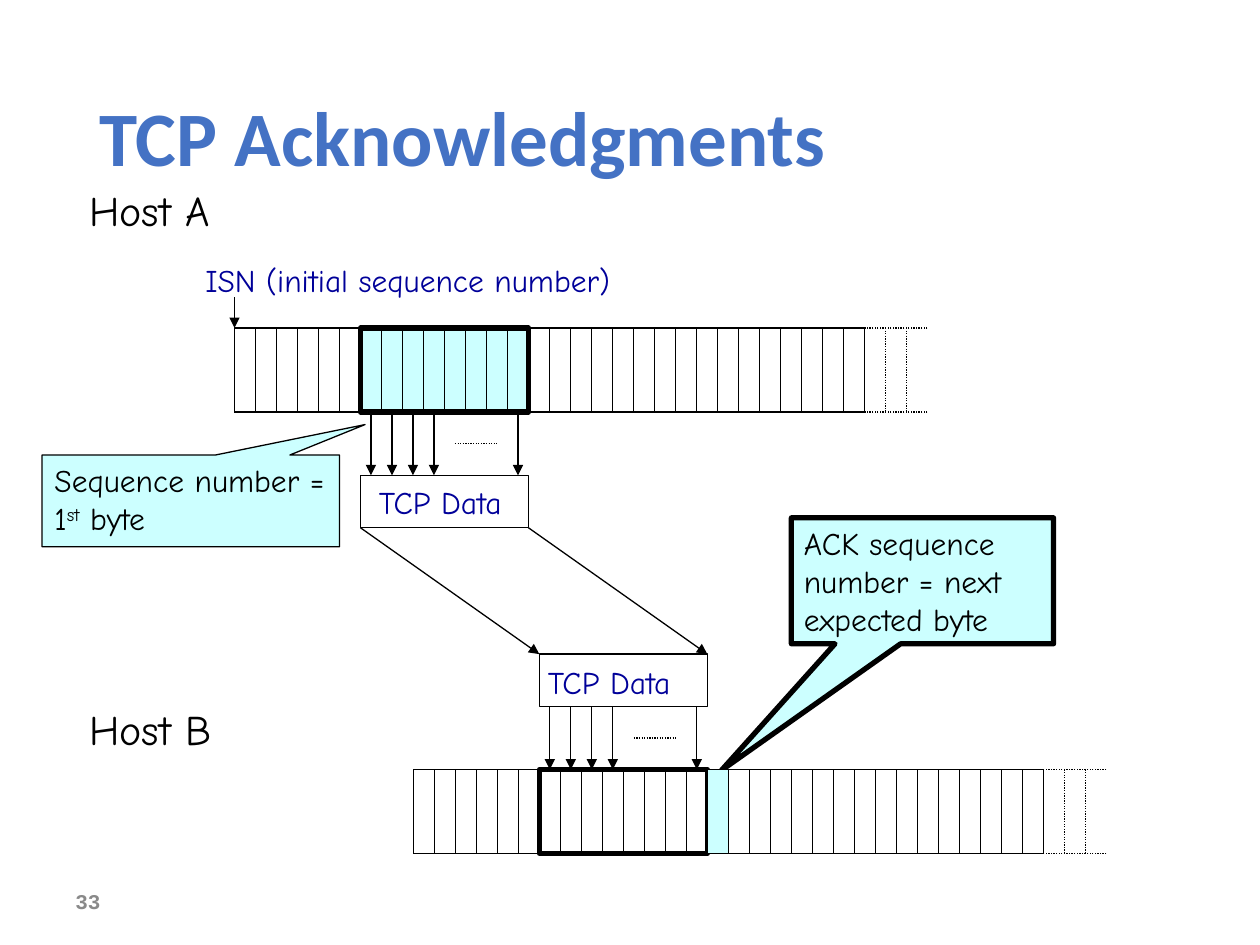
from lxml.etree import SubElement
from pptx import Presentation
from pptx.dml.color import RGBColor
from pptx.enum.dml import MSO_LINE_DASH_STYLE as DASH
from pptx.enum.shapes import MSO_CONNECTOR, MSO_SHAPE as SHAPE
from pptx.enum.text import MSO_ANCHOR as ANCHOR, PP_ALIGN as ALIGN
from pptx.oxml.ns import qn
from pptx.util import Pt

BLACK, WHITE, CYAN, NAVY = "000000", "FFFFFF", "CCFFFF", "000099"
BLUE, GRAY = "4472C4", "898989"
HAND = "Comic Neue"

# text, (left, top, width, height), size, colour
LABELS = [
    ("Host A", (44, 102.2, 93, 36), 24, BLACK),
    ("Host B", (44, 398.2, 91, 36), 24, BLACK),
    ("TCP Data", (209.5, 272.2, 92, 29), 18, NAVY),
    ("TCP Data", (306, 375.1, 92, 29), 18, NAVY),
    ("ISN (initial sequence number)", (110.2, 145.4, 265, 29), 18, NAVY),
]
# runs as (text, raised), box, callout tip, line width
CALLOUTS = [
    ([("Sequence number = 1", False), ("st", True), (" byte", False)],
     (24, 260, 170, 52.4), (0.586, -0.832), 0.75),
    ([("ACK sequence number = next expected byte", False)],
     (452.2, 295.9, 149.8, 72), (-0.767, 1.505), 3),
]

CELL, ROW_HEIGHT = 12, 48
SOLID_CELLS, DOTTED_CELLS = 30, 3
WINDOW_START, WINDOW_CELLS = 6, 8
LINKED_CELLS = (0, 1, 2, 3, 7)
WINDOW_WIDTH = WINDOW_CELLS * CELL
DATA_HEIGHT = 30
ROW_A = (134, 187.4)
ROW_B = (236.2, 439.7)
DATA_A_TOP, DATA_B_TOP = 271.6, 373.8

presentation = Presentation()
presentation.slide_width, presentation.slide_height = Pt(720), Pt(540)
slide = presentation.slides.add_slide(presentation.slide_layouts[6])


def color(value):
    return RGBColor.from_string(value)


def points(values):
    return [Pt(value) for value in values]


def style_font(paragraph, name, size, font_color, bold=False):
    font = paragraph.font
    font.name, font.size, font.bold = name, Pt(size), bold
    font.color.rgb = color(font_color)


def add_text(text, box, size, font_color, name=HAND, bold=False, wrap=False, anchor=ANCHOR.TOP):
    frame = slide.shapes.add_textbox(*points(box)).text_frame
    frame.word_wrap, frame.vertical_anchor = wrap, anchor
    paragraph = frame.paragraphs[0]
    paragraph.text = text
    style_font(paragraph, name, size, font_color, bold)
    return paragraph


def add_box(box, fill=None, width=0.75, kind=SHAPE.RECTANGLE):
    shape = slide.shapes.add_shape(kind, *points(box))
    shape.shadow.inherit = False
    if fill:
        shape.fill.solid()
        shape.fill.fore_color.rgb = color(fill)
    else:
        shape.fill.background()
    shape.line.color.rgb = color(BLACK)
    shape.line.width = Pt(width)
    return shape


def add_line(x1, y1, x2, y2, dotted=False, arrow=False):
    connector = slide.shapes.add_connector(MSO_CONNECTOR.STRAIGHT, *points((x1, y1, x2, y2)))
    connector.line.color.rgb = color(BLACK)
    connector.line.width = Pt(0.75)
    if dotted:
        connector.line.dash_style = DASH.ROUND_DOT
    properties = connector._element.spPr
    if arrow:
        SubElement(properties.find(qn("a:ln")), qn("a:tailEnd"), type="triangle")
    SubElement(properties, qn("a:effectLst"))


def window_left(row):
    return row[0] + WINDOW_START * CELL


def add_window(row, fill=None):
    add_box((window_left(row), row[1], WINDOW_WIDTH, ROW_HEIGHT), fill, 3)


def add_byte_row(left, top):
    """Draw the byte stream: solid cells, then a dotted continuation."""
    bottom = top + ROW_HEIGHT
    solid_end = left + SOLID_CELLS * CELL
    for y in (top, bottom):
        add_line(left, y, solid_end, y)
        add_line(solid_end + DOTTED_CELLS * CELL, y, solid_end, y, dotted=True)
    for index in range(SOLID_CELLS + DOTTED_CELLS):
        x = left + index * CELL
        add_line(x, top, x, bottom, dotted=index > SOLID_CELLS)


def add_byte_arrows(left, top, bottom):
    """Link the bytes of the window with the data box."""
    for index in LINKED_CELLS:
        x = left + (index + 0.5) * CELL
        add_line(x, top, x, bottom, arrow=True)
    middle = (top + bottom) / 2
    add_line(left + 4.5 * CELL, middle, left + 6.5 * CELL, middle, dotted=True)


def add_callout(runs, box, tip, width):
    shape = add_box(box, CYAN, width, SHAPE.RECTANGULAR_CALLOUT)
    shape.adjustments[0], shape.adjustments[1] = tip
    frame = shape.text_frame
    frame.word_wrap, frame.vertical_anchor = True, ANCHOR.TOP
    paragraph = frame.paragraphs[0]
    paragraph.alignment = ALIGN.LEFT
    style_font(paragraph, HAND, 18, BLACK)
    for text, raised in runs:
        run = paragraph.add_run()
        run.text = text
        if raised:
            run.font._element.set("baseline", "30000")


title = add_text("TCP Acknowledgments", (49.7, 28.8, 620.6, 104.4), 44, BLUE,
                 "Calibri", bold=True, wrap=True, anchor=ANCHOR.MIDDLE)
title.line_spacing = 0.9
add_text("33", (36, 500.4, 168, 28.8), 12, GRAY, "Courier New",
         bold=True, wrap=True, anchor=ANCHOR.MIDDLE)

add_window(ROW_A, CYAN)
for row in (ROW_A, ROW_B):
    add_byte_row(*row)

left_a, left_b = window_left(ROW_A), window_left(ROW_B)
for left, top in ((left_a, DATA_A_TOP), (left_b, DATA_B_TOP)):
    add_box((left, top, WINDOW_WIDTH, DATA_HEIGHT), WHITE)
for offset in (0, WINDOW_WIDTH):
    add_line(left_a + offset, DATA_A_TOP + DATA_HEIGHT, left_b + offset, DATA_B_TOP, arrow=True)
add_byte_arrows(left_a, ROW_A[1] + ROW_HEIGHT, DATA_A_TOP)
add_byte_arrows(left_b, DATA_B_TOP + DATA_HEIGHT, ROW_B[1])

for label in LABELS:
    add_text(*label)
add_line(ROW_A[0], 170, *ROW_A, arrow=True)

add_window(ROW_B)
for callout in CALLOUTS:
    add_callout(*callout)
add_box((left_b + WINDOW_WIDTH, ROW_B[1], CELL, ROW_HEIGHT), CYAN)

presentation.save("out.pptx")
